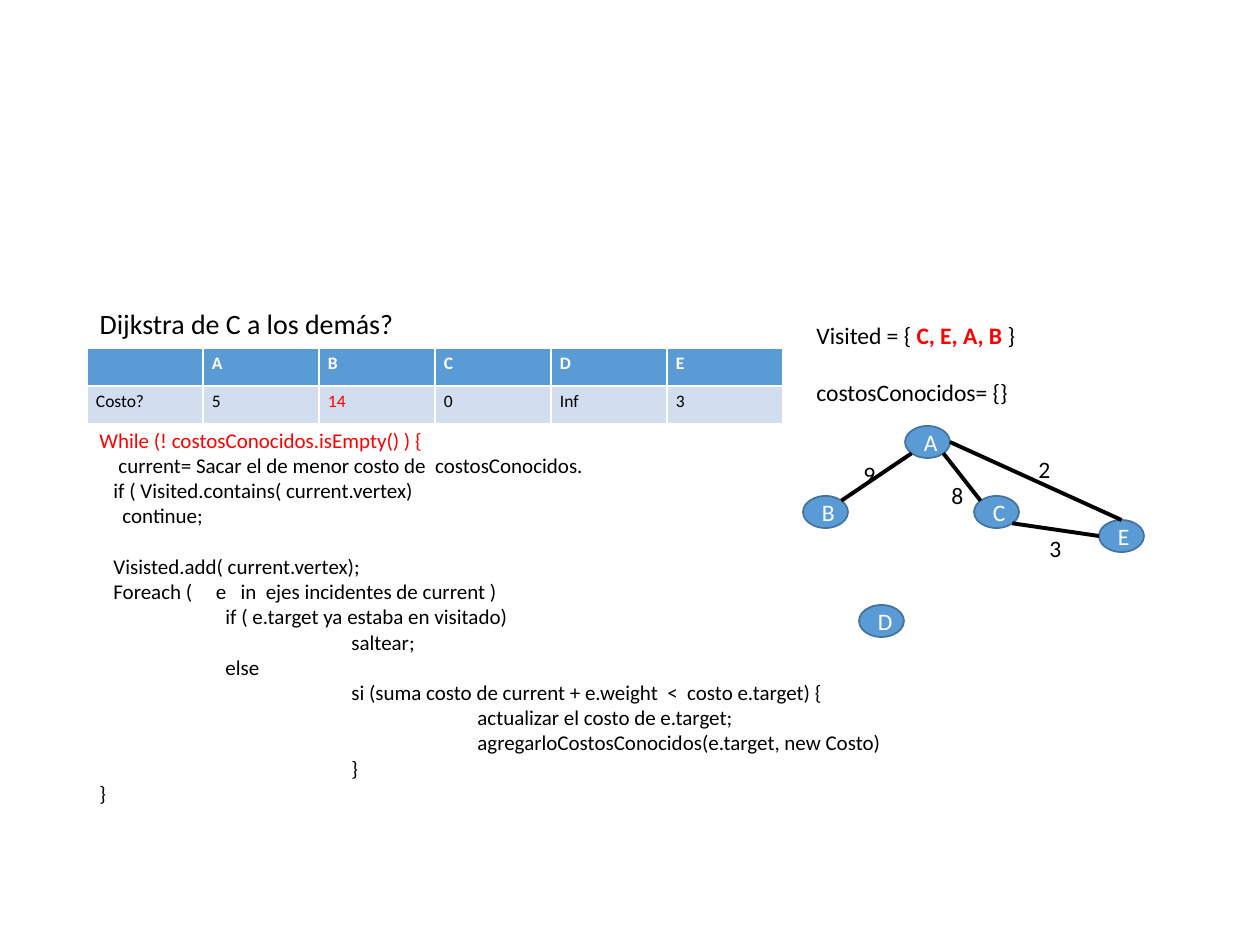
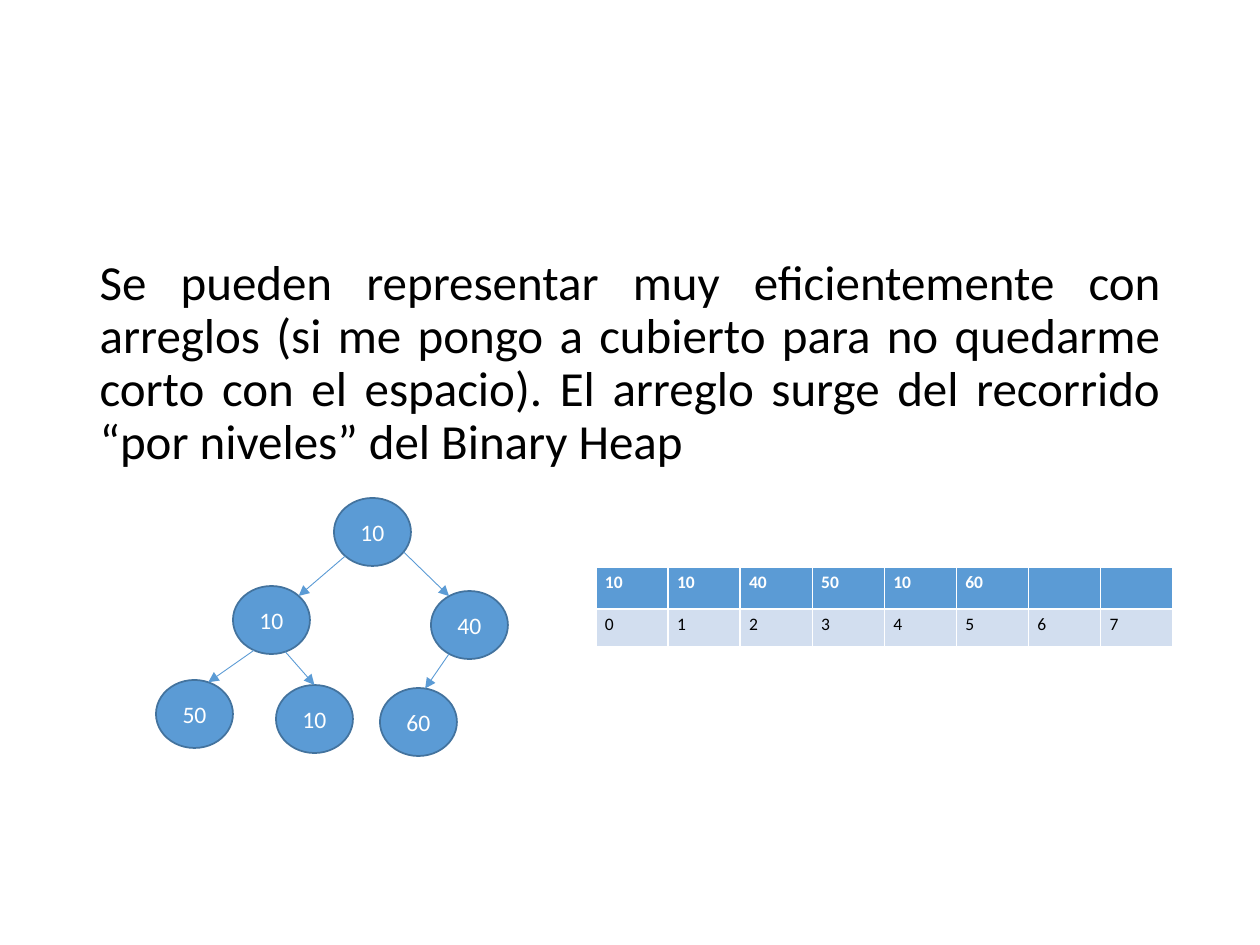
from dataclasses import dataclass
from math import cos, radians, sin

from lxml import etree
from pptx import Presentation
from pptx import util as u
from pptx.dml.color import RGBColor
from pptx.enum import shapes, text
from pptx.oxml.ns import qn


@dataclass(frozen=True)
class Theme:
    font: str = "Calibri"
    black: str = "000000"
    white: str = "FFFFFF"
    red: str = "FF0000"
    blue: str = "5B9BD5"
    outline: str = "43739E"
    pale: str = "D2DEEF"
    question: float = 16
    statement: float = 28
    label: float = 13.5
    code: float = 12
    cell: float = 10
    thin: float = 0.5
    border: float = 1
    thick: float = 2.25


THEME = Theme()
PX = u.Inches(1) / 126
SLIDE_SIZE = (1260, 945)
CODE_LINE = 14.6
LABEL_LINE = 16.5
CELL_INSETS = (9, 5)

QUESTION = "Dijkstra de C a los demás?"
COSTS = [["", "A", "B", "C", "D", "E"], ["Costo?", "5", "14", "0", "Inf", "3"]]
CHANGED_COST = (1, 2)
TAB = 126
CODE = [
    (0, "While (! costosConocidos.isEmpty() ) {"),
    (19, "current= Sacar el de menor costo de  costosConocidos."),
    (14, "if ( Visited.contains( current.vertex)"),
    (23, "continue;"),
    (14, "Visisted.add( current.vertex);"),
    (14, "Foreach (     e   in  ejes incidentes de current )"),
    (TAB, "if ( e.target ya estaba en visitado)"),
    (2 * TAB, "saltear;"),
    (TAB, "else"),
    (2 * TAB, "si (suma costo de current + e.weight  <  costo e.target) {"),
    (3 * TAB, "actualizar el costo de e.target;"),
    (3 * TAB, "agregarloCostosConocidos(e.target, new Costo)"),
    (2 * TAB, "}"),
    (0, "}"),
]
CURRENT_LINE = 0
LINE_AFTER_GAP = 4
VISITED = [("Visited = { ", False), ("C, E, A, B", True), (" }", False)]
KNOWN_COSTS = "costosConocidos= {}"

GRAPH_NODE = (45, 32)
GRAPH = {"A": ("A", 905, 426), "C": ("C", 974, 496), "E": ("E", 1099, 520),
         "B": ("B", 803, 496), "D": ("D", 859, 605)}
GRAPH_EDGES = [("B", 315, "A", 135), ("A", 45, "C", 225),
               ("C", 45, "E", 180), ("A", 0, "E", 270)]
WEIGHTS = [("8", 939, 475), ("3", 1037, 528), ("2", 1026, 449), ("9", 851, 454)]

STATEMENT = ("Se pueden representar muy eficientemente con arreglos (si me pongo a cubierto "
             "para no quedarme corto con el espacio). El arreglo surge del recorrido "
             "“por niveles” del Binary Heap")
HEAP_ARRAY = [["10", "10", "40", "50", "10", "60", "", ""], [str(i) for i in range(8)]]
HEAP_NODE = (77, 68)
HEAP = {"root": ("10", 334, 498), "left": ("10", 233, 586), "right": ("40", 431, 591),
        "left_left": ("50", 156, 680), "left_right": ("10", 276, 685),
        "right_left": ("60", 380, 688)}
HEAP_EDGES = [("root", 135, "left", 315), ("root", 36, "right", 238),
              ("left", 117, "left_left", 291), ("right", 122, "right_left", 280),
              ("left", 69, "left_right", 270)]


def px(*lengths):
    return [u.Emu(round(length * PX)) for length in lengths]


def color(value):
    return RGBColor.from_string(value)


def set_font(font, size, ink=THEME.black, bold=False):
    font.name, font.size, font.bold = THEME.font, u.Pt(size), bold
    font.color.rgb = color(ink)


def add_body_slide(presentation, words, box, size, align):
    slide = presentation.slides.add_slide(presentation.slide_layouts[1])
    title = slide.shapes.title
    title.element.getparent().remove(title.element)
    body = slide.placeholders[1]
    body.left, body.top, body.width, body.height = px(*box)
    body.text_frame.text = words
    paragraph = body.text_frame.paragraphs[0]
    paragraph.alignment = align
    paragraph.line_spacing, paragraph.space_before = 0.9, u.Pt(10)
    properties = paragraph._p.get_or_add_pPr()
    properties.set("marL", "0")
    properties.set("indent", "0")
    etree.SubElement(properties, qn("a:buNone"))
    set_font(paragraph.font, size)
    return slide


def add_text_frame(slide, box, wrap=False):
    frame = slide.shapes.add_textbox(*px(*box)).text_frame
    frame.word_wrap = wrap
    return frame


def add_nodes(slide, nodes, size):
    for label, left, top in nodes.values():
        node = slide.shapes.add_shape(shapes.MSO_SHAPE.OVAL, *px(left, top, *size))
        node.shadow.inherit = False
        node.fill.solid()
        node.fill.fore_color.rgb = color(THEME.blue)
        node.line.color.rgb = color(THEME.outline)
        node.line.width = u.Pt(THEME.border)
        node.text_frame.text = label
        node.text_frame.vertical_anchor = text.MSO_ANCHOR.MIDDLE
        paragraph = node.text_frame.paragraphs[0]
        paragraph.alignment = text.PP_ALIGN.CENTER
        set_font(paragraph.font, THEME.label, THEME.white)


def rim_point(node, size, degrees):
    _, left, top = node
    width, height = size
    angle = radians(degrees)
    return left + width / 2 * (1 + cos(angle)), top + height / 2 * (1 + sin(angle))


def add_edges(slide, nodes, size, edges, ink, width, arrow=False):
    for start, leaving, end, arriving in edges:
        ends = rim_point(nodes[start], size, leaving) + rim_point(nodes[end], size, arriving)
        edge = slide.shapes.add_connector(shapes.MSO_CONNECTOR.STRAIGHT, *px(*ends))
        edge.line.color.rgb = color(ink)
        edge.line.width = u.Pt(width)
        if arrow:
            etree.SubElement(edge.line._get_or_add_ln(), qn("a:tailEnd"), type="triangle")
        etree.SubElement(edge._element.spPr, qn("a:effectLst"))


def add_array(slide, values, left, top, width, heights, highlight=None):
    columns = len(values[0])
    table = slide.shapes.add_table(len(values), columns,
                                   *px(left, top, width, sum(heights))).table
    for column in table.columns:
        column.width = px(width / columns)[0]
    side, edge = px(*CELL_INSETS)
    for row, height in enumerate(heights):
        table.rows[row].height = px(height)[0]
        header = row == 0
        for column, value in enumerate(values[row]):
            cell = table.cell(row, column)
            cell.margin_left = cell.margin_right = side
            cell.margin_top = cell.margin_bottom = edge
            cell.fill.solid()
            cell.fill.fore_color.rgb = color(THEME.blue if header else THEME.pale)
            cell.text = value
            ink = THEME.white if header else THEME.black
            if (row, column) == highlight:
                ink = THEME.red
            set_font(cell.text_frame.paragraphs[0].font, THEME.cell, ink, header)


def add_code(slide):
    frame = add_text_frame(slide, (87, 421, 810, 394), wrap=True)
    for number, (indent, line) in enumerate(CODE):
        paragraph = frame.add_paragraph() if number else frame.paragraphs[0]
        paragraph.text = line
        paragraph._p.get_or_add_pPr().set("marL", str(px(indent)[0]))
        if number == LINE_AFTER_GAP:
            paragraph.space_before = u.Pt(CODE_LINE)
        set_font(paragraph.font, THEME.code,
                 THEME.red if number == CURRENT_LINE else THEME.black)


def add_state(slide):
    frame = add_text_frame(slide, (804, 315, 232, 98))
    for words, visited in VISITED:
        run = frame.paragraphs[0].add_run()
        run.text = words
        set_font(run.font, THEME.label, THEME.red if visited else THEME.black, visited)
    paragraph = frame.add_paragraph()
    paragraph.text = KNOWN_COSTS
    paragraph.space_before = u.Pt(LABEL_LINE)
    set_font(paragraph.font, THEME.label)


def build_dijkstra(presentation):
    slide = add_body_slide(presentation, QUESTION, (87, 304, 1086, 450),
                           THEME.question, text.PP_ALIGN.LEFT)
    add_nodes(slide, GRAPH, GRAPH_NODE)
    add_edges(slide, GRAPH, GRAPH_NODE, GRAPH_EDGES, THEME.black, THEME.thick)
    for weight, left, top in WEIGHTS:
        paragraph = add_text_frame(slide, (left, top, 38, 42)).paragraphs[0]
        paragraph.text = weight
        set_font(paragraph.font, THEME.label)
    add_array(slide, COSTS, 87, 348, 696, (38, 38), CHANGED_COST)
    add_code(slide)
    add_state(slide)


def build_heap(presentation):
    slide = add_body_slide(presentation, STATEMENT, (87, 252, 1086, 600),
                           THEME.statement, text.PP_ALIGN.JUSTIFY)
    add_array(slide, HEAP_ARRAY, 596, 567, 577, (42, 38))
    add_nodes(slide, HEAP, HEAP_NODE)
    add_edges(slide, HEAP, HEAP_NODE, HEAP_EDGES, THEME.blue, THEME.thin, arrow=True)


def main():
    presentation = Presentation()
    presentation.slide_width, presentation.slide_height = px(*SLIDE_SIZE)
    build_dijkstra(presentation)
    build_heap(presentation)
    presentation.save("out.pptx")


if __name__ == "__main__":
    main()
